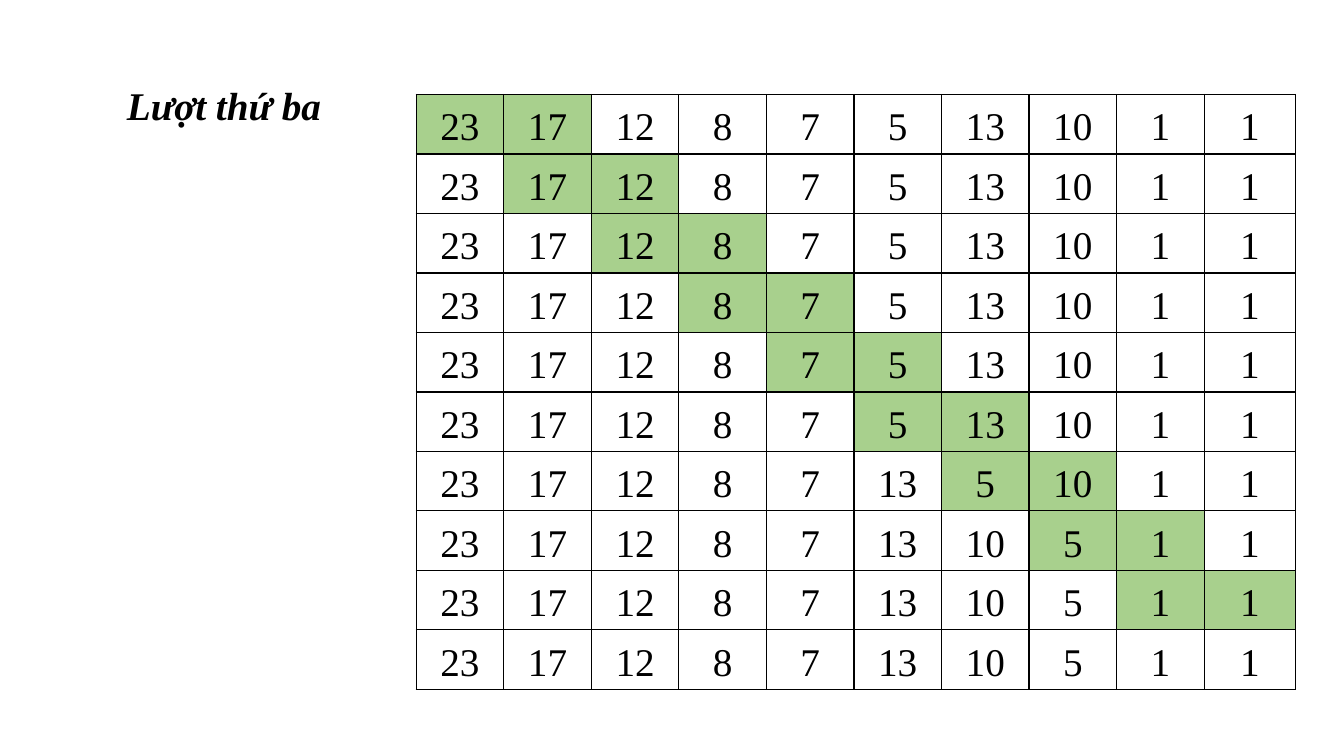
import pptx
import pptx.util
import pptx.dml.color
import pptx.enum.text
import pptx.oxml
import pptx.oxml.ns

Pt = pptx.util.Pt
RGBColor = pptx.dml.color.RGBColor
Align = pptx.enum.text.PP_ALIGN
Anchor = pptx.enum.text.MSO_ANCHOR
AutoSize = pptx.enum.text.MSO_AUTO_SIZE

COLORS = {"text": "000000", "border": "000000", "compared": "A8D08D"}
FONT = {"name": "Times New Roman", "size": Pt(28)}
SPACING = {"line_spacing": 1.15, "space_before": Pt(6), "space_after": Pt(6)}
CELL = {
    "vertical_anchor": Anchor.MIDDLE,
    "margin_left": Pt(5),
    "margin_right": Pt(5),
    "margin_top": 0,
    "margin_bottom": 0,
}
TITLE_FRAME = {
    "word_wrap": False,
    "auto_size": AutoSize.SHAPE_TO_FIT_TEXT,
    "vertical_anchor": Anchor.TOP,
}
PLAIN_TABLE = {"first_row": False, "horz_banding": False}


def assign(target, values):
    for name, value in values.items():
        setattr(target, name, value)


class SlideBuilder:
    def __init__(self, presentation):
        self.slide = presentation.slides.add_slide(presentation.slide_layouts[5])

    def text(self, text_frame, wording, alignment, **font):
        text_frame.text = wording
        paragraph = text_frame.paragraphs[0]
        assign(paragraph, {**SPACING, "alignment": alignment})
        run = paragraph.runs[0]
        assign(run.font, {**FONT, **font})
        run.font.color.rgb = RGBColor.from_string(COLORS["text"])

    def title(self, wording, left, top, width, height):
        shape = self.slide.shapes.title
        assign(shape, {"left": Pt(left), "top": Pt(top), "width": Pt(width), "height": Pt(height)})
        assign(shape.text_frame, TITLE_FRAME)
        self.text(shape.text_frame, wording, Align.JUSTIFY, bold=True, italic=True)

    def borders(self, cell):
        properties = cell._tc.get_or_add_tcPr()
        for side in ("lnL", "lnR", "lnT", "lnB"):
            properties.append(pptx.oxml.parse_xml(
                f'<a:{side} {pptx.oxml.ns.nsdecls("a")} w="{Pt(1)}"><a:solidFill>'
                f'<a:srgbClr val="{COLORS["border"]}"/></a:solidFill></a:{side}>'
            ))

    def table(self, rows, highlighted, left, top, column_widths, row_height):
        frame = self.slide.shapes.add_table(
            len(rows), len(column_widths), Pt(left), Pt(top),
            Pt(sum(column_widths)), Pt(row_height * len(rows)),
        )
        table = frame.table
        assign(table, PLAIN_TABLE)
        for column, width in zip(table.columns, column_widths):
            column.width = Pt(width)
        for row_index, values in enumerate(rows):
            table.rows[row_index].height = Pt(row_height)
            for column_index, value in enumerate(values):
                cell = table.cell(row_index, column_index)
                assign(cell, CELL)
                self.text(cell.text_frame, str(value), Align.CENTER)
                self.borders(cell)
                if (row_index, column_index) in highlighted:
                    cell.fill.solid()
                    cell.fill.fore_color.rgb = RGBColor.from_string(COLORS["compared"])
                else:
                    cell.fill.background()


def bubble_pass(values):
    states = [list(values)]
    for left in range(len(values) - 1):
        state = list(states[-1])
        if state[left] < state[left + 1]:
            state[left], state[left + 1] = state[left + 1], state[left]
        states.append(state)
    return states


presentation = pptx.Presentation()
assign(presentation, {"slide_width": Pt(960), "slide_height": Pt(540)})

states = bubble_pass([23, 17, 12, 8, 7, 5, 13, 10, 1, 1])
compared = {(step, step + side) for step in range(len(states) - 1) for side in (0, 1)}

builder = SlideBuilder(presentation)
builder.title("Lượt thứ ba", 83.5, 49.7, 154.8, 43.2)
builder.table(states, compared, 297.3, 67.5, [62.55] * 9 + [65.4], 42.5)

presentation.save("out.pptx")
